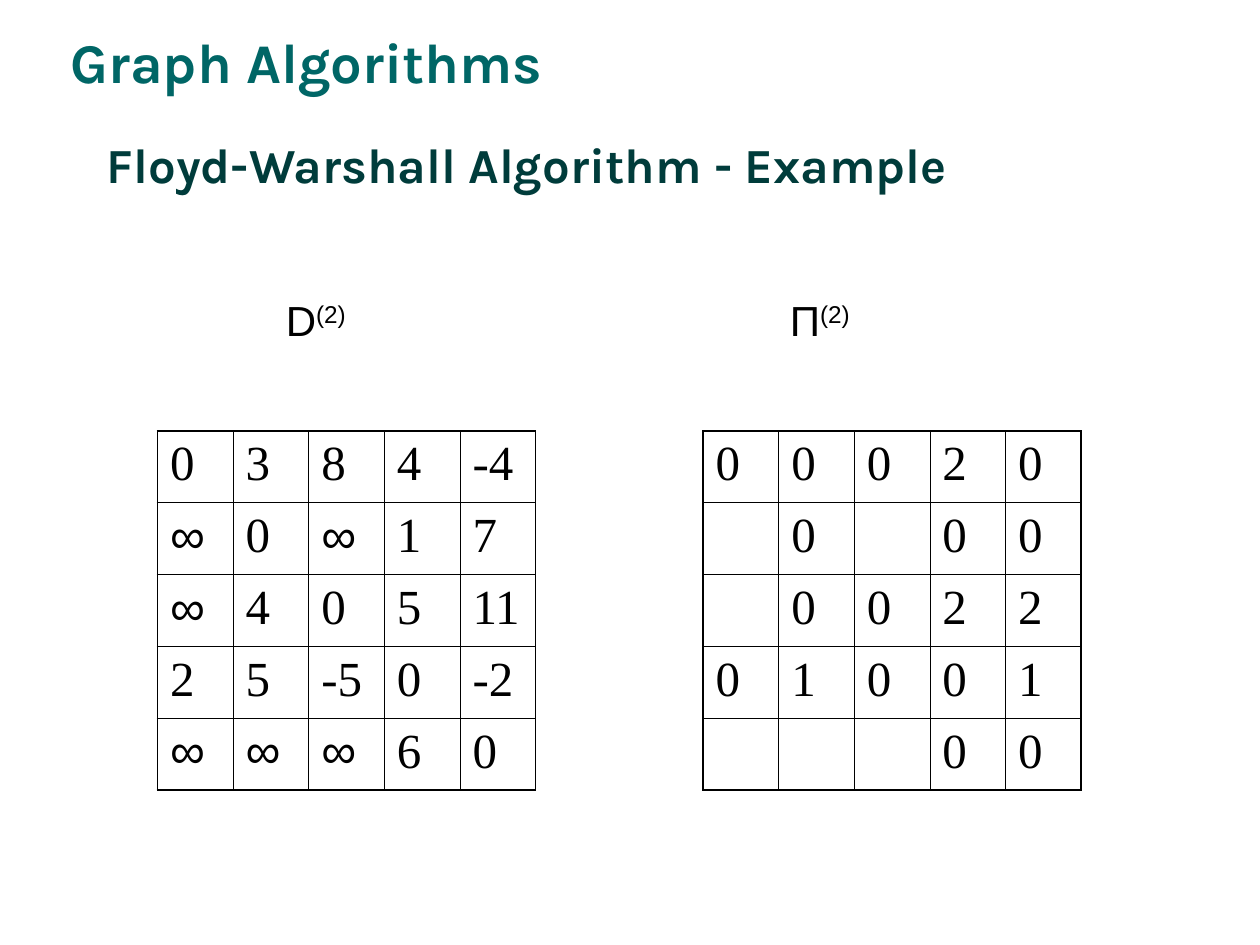
from lxml.etree import SubElement
from pptx import Presentation
from pptx.dml.color import RGBColor
from pptx.enum.text import MSO_ANCHOR
from pptx.oxml.ns import qn
from pptx.util import Inches, Pt

WIDE, HIGH = Inches(10), Inches(7.5)
TEAL = RGBColor(0x00, 0x66, 0x66)
DARK = RGBColor(0x00, 0x3C, 0x3B)
BLACK = RGBColor(0x00, 0x00, 0x00)
THICK, THIN = Pt(1.08), Pt(0.45)
COSTS = ["0 3 8 4 -4", "∞ 0 ∞ 1 7", "∞ 4 0 5 11", "2 5 -5 0 -2", "∞ ∞ ∞ 6 0"]
PATHS = ["0 0 0 2 0", ". 0 . 0 0", ". 0 0 2 2", "0 1 0 0 1", ". . . 0 0"]


def scale(left, top, width, height):
    """Turn shares of the slide into lengths."""
    return (round(left * WIDE), round(top * HIGH),
            round(width * WIDE), round(height * HIGH))


def write(para, text, size=28, face="Times New Roman", color=BLACK,
          bold=False, lift=0):
    """Add one formatted run to a paragraph."""
    run = para.add_run()
    run.text = text
    font = run.font
    font.size, font.name, font.bold = Pt(size), face, bold
    font.color.rgb = color
    if lift:
        run._r.get_or_add_rPr().set("baseline", str(lift * 1000))


def frame(slide, box, wrap=False, anchor=MSO_ANCHOR.TOP):
    """Add a text box and return its first paragraph."""
    body = slide.shapes.add_textbox(*scale(*box)).text_frame
    body.word_wrap, body.vertical_anchor = wrap, anchor
    return body.paragraphs[0]


def heads(slide, topic, title):
    """Place the topic line and the slide title."""
    write(frame(slide, topic), "Graph Algorithms", size=32, face="Karla",
          color=TEAL, bold=True)
    write(frame(slide, title, wrap=True, anchor=MSO_ANCHOR.MIDDLE),
          "Floyd-Warshall Algorithm - Example", face="Karla",
          color=DARK, bold=True)


def names(slide, box):
    """Place both matrix names on tab stops one inch apart."""
    para = frame(slide, box)
    stops = SubElement(para._p.get_or_add_pPr(), qn("a:tabLst"))
    for step in range(1, 8):
        SubElement(stops, qn("a:tab"), pos=str(Inches(step)), algn="l")
    for text, lift in (("\tD", 0), ("(2)\t\t\t\t", 30), ("Π", 0), ("(2)", 30)):
        write(para, text, size=24, face="Arial", lift=lift)


def edge(cell, side, width):
    """Draw one border of a cell."""
    line = SubElement(cell._tc.get_or_add_tcPr(), qn("a:ln" + side),
                      w=str(int(width)))
    fill = SubElement(line, qn("a:solidFill"))
    SubElement(fill, qn("a:srgbClr"), val=str(BLACK))


def matrix(slide, box, lines):
    """Place a square matrix with a thick outer rule."""
    data = [line.split() for line in lines]
    last = len(data) - 1
    grid = slide.shapes.add_table(len(data), len(data), *scale(*box)).table
    grid.first_row = grid.horz_banding = False
    for row, items in enumerate(data):
        for col, item in enumerate(items):
            cell = grid.cell(row, col)
            outer = {"L": col == 0, "R": col == last,
                     "T": row == 0, "B": row == last}
            for side, rim in outer.items():
                edge(cell, side, THICK if rim else THIN)
            cell.fill.background()
            if item != ".":
                write(cell.text_frame.paragraphs[0], item,
                      face="Arial" if item == "∞" else "Times New Roman")


def main():
    """Build and save the slide."""
    deck = Presentation()
    deck.slide_width, deck.slide_height = WIDE, HIGH
    slide = deck.slides.add_slide(deck.slide_layouts[6])
    heads(slide, (0.046, 0.023, 0.416, 0.085), (0.075, 0.09, 0.925, 0.167))
    matrix(slide, (0.125, 0.456, 0.3, 0.38), COSTS)
    matrix(slide, (0.558, 0.456, 0.3, 0.38), PATHS)
    names(slide, (0.117, 0.305, 0.57, 0.067))
    deck.save("out.pptx")


if __name__ == "__main__":
    main()
